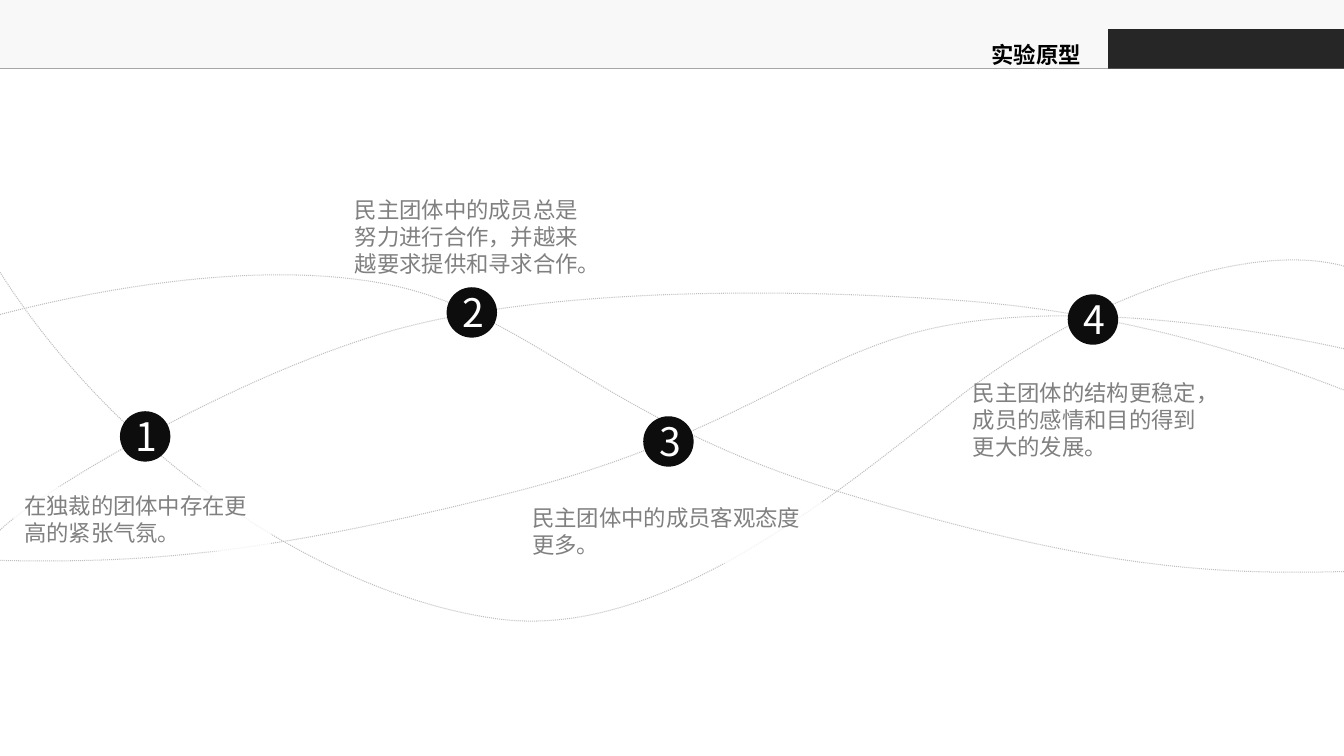
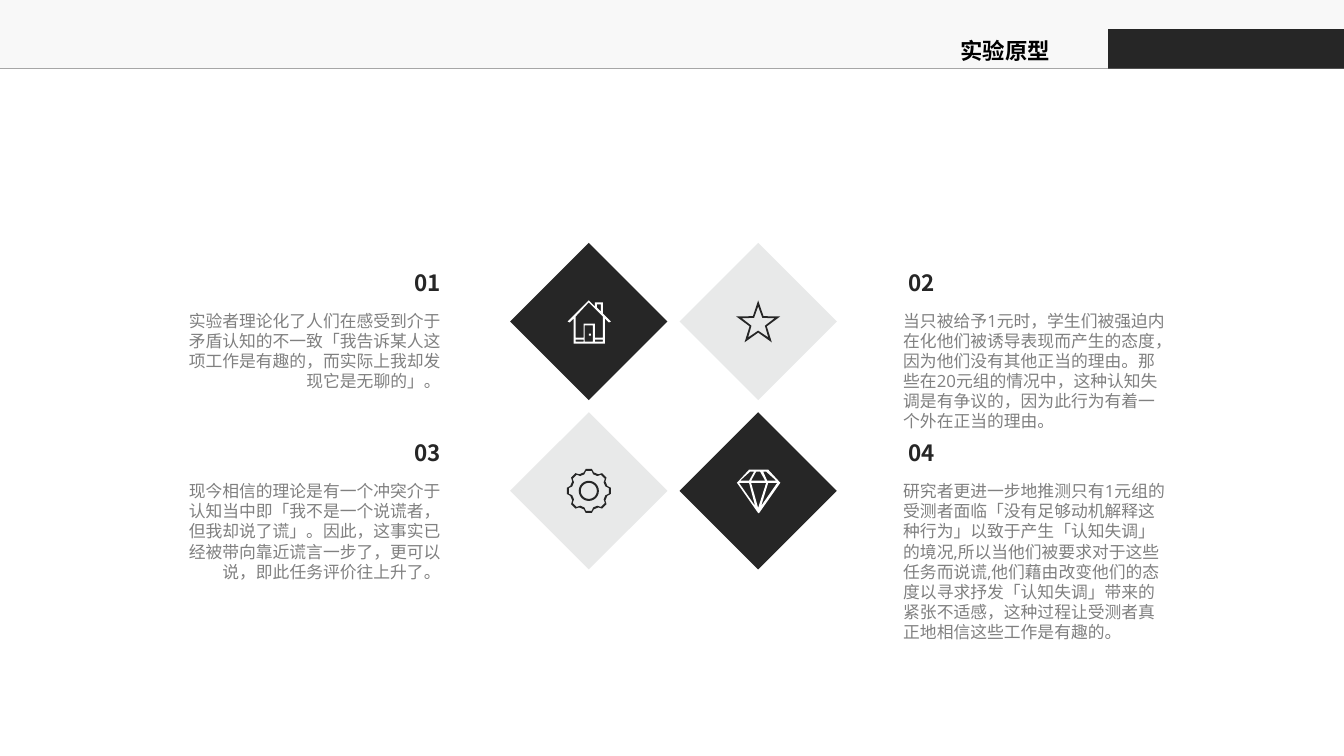
from dataclasses import dataclass
from math import cos, radians, sin
from typing import Any, NamedTuple, Sequence

from lxml import etree
from pptx import Presentation
from pptx import util as u
from pptx.dml.color import RGBColor
from pptx.enum import dml, shapes, text
from pptx.oxml import ns

Point = tuple[float, float]
Outline = Sequence[Point]
LEFT, CENTER, RIGHT = text.PP_ALIGN.LEFT, text.PP_ALIGN.CENTER, text.PP_ALIGN.RIGHT
RECTANGLE = shapes.MSO_SHAPE.RECTANGLE


@dataclass(frozen=True)
class Theme:
    white: str = "FFFFFF"
    black: str = "000000"
    ink: str = "262626"
    node: str = "0D0D0D"
    body: str = "808080"
    band: str = "F2F2F2"
    rule: str = "A6A6A6"
    curve: str = "BFBFBF"
    tile: str = "E8E9E9"
    cjk: str = "Noto Sans CJK SC"
    latin: str = "Open Sans"
    number_size: int = 28
    heading_size: int = 16
    detail_size: int = 12
    leading: float = 1.2


THEME = Theme()


class Box(NamedTuple):
    left: float
    top: float
    width: float
    height: float

    def lengths(self) -> list[u.Length]:
        return [u.Inches(value) for value in self]


class Style(NamedTuple):
    size: int
    color: str
    font: str = THEME.cjk
    bold: bool = False
    align: Any = LEFT


class Step(NamedTuple):
    """A numbered node on the curves and its caption."""
    left: float
    top: float
    caption: str
    box: Box
    font: str = THEME.latin
    veiled: bool = False


class Tile(NamedTuple):
    """A diamond with an icon, and the heading and detail beside it."""
    heading: str
    detail: str
    height: float
    column: int
    row: int
    icon: Sequence[Outline]


TITLE = Style(THEME.heading_size, THEME.black, bold=True)
NUMBER = Style(THEME.number_size, THEME.white, align=CENTER)

CURVES: list[list[Point]] = [
    [(0, 3.12), (0.73, 2.93), (2.5, 2.54), (3.89, 2.83), (5.29, 3.13),
     (5.99, 4.18), (8.36, 4.89), (10.73, 5.6), (11.9, 5.71), (13.33, 5.67)],
    [(0, 5.26), (0.42, 4.85), (2.54, 3.6), (4.12, 3.22), (5.7, 2.84),
     (7.96, 2.87), (9.5, 2.98), (11.03, 3.09), (12.33, 3.48), (13.33, 3.87)],
    [(0, 2.7), (1.27, 4.69), (3.36, 5.93), (4.94, 6.14), (6.51, 6.35),
     (8.19, 4.99), (9.46, 3.98), (10.72, 2.97), (12.37, 2.38), (13.33, 2.64)],
    [(13.33, 3.46), (12.61, 3.3), (10.83, 2.98), (9.44, 3.22), (8.05, 3.46),
     (7.35, 4.33), (4.98, 4.91), (2.61, 5.5), (1.44, 5.59), (0, 5.56)],
]

STEPS = [
    Step(1.19, 4.08, "在独裁的团体中存在更高的紧张气氛。",
         Box(0.14, 4.83, 2.55, 0.64), THEME.cjk, True),
    Step(4.43, 2.85, "民主团体中的成员总是努力进行合作，并越来越要求提供和寻求合作。",
         Box(3.42, 1.9, 2.51, 0.91)),
    Step(6.38, 4.13, "民主团体中的成员客观态度更多。",
         Box(5.18, 4.95, 2.97, 0.64), veiled=True),
    Step(10.59, 2.92, "民主团体的结构更稳定，成员的感情和目的得到更大的发展。",
         Box(9.55, 3.71, 2.59, 0.91)),
]


def ring(polar: Sequence[Point], center_y: float = 0) -> Outline:
    """Outline from (degrees clockwise from the top, radius) pairs."""
    return [(radius * sin(radians(angle)), center_y - radius * cos(radians(angle)))
            for angle, radius in polar]


def star(tip: float, notch: float) -> Outline:
    return ring([(36 * i, notch if i % 2 else tip) for i in range(10)], 0.02)


def cog(tip: float, valley: float) -> Outline:
    return ring([(45 * tooth + offset, radius) for tooth in range(8)
                 for offset, radius in ((-15, valley), (-8, tip), (8, tip), (15, valley))])


def circle(radius: float) -> Outline:
    return ring([(15 * i, radius) for i in range(24)])


def pane(left: float, top: float, right: float, bottom: float) -> Outline:
    return [(left, top), (right, top), (right, bottom), (left, bottom)]


HOUSE = [
    [(0, -0.21), (-0.21, 0), (-0.19, 0.01), (-0.15, -0.03), (-0.15, 0.22), (0.16, 0.22),
     (0.16, -0.03), (0.2, 0.01), (0.22, 0), (0.14, -0.08), (0.14, -0.19), (0.06, -0.19),
     (0.06, -0.15)],
    [(0.14, 0.16), (0.06, 0.16), (0.06, 0.02), (-0.05, 0.02), (-0.05, 0.16),
     (-0.13, 0.16), (-0.13, -0.05), (0, -0.19), (0.14, -0.05)],
    [(0.08, -0.17), (0.12, -0.17), (0.12, -0.1), (0.08, -0.14)],
    pane(-0.13, 0.18, -0.05, 0.2), pane(-0.04, 0.04, 0.04, 0.2),
    pane(0.06, 0.18, 0.14, 0.2), pane(0, 0.12, 0.02, 0.14),
]
STAR = [star(0.23, 0.09), star(0.17, 0.07)]
GEAR = [cog(0.22, 0.19), cog(0.2, 0.17), circle(0.1), circle(0.08)]
GEM = [
    [(-0.09, -0.21), (0.1, -0.21), (0.22, -0.08), (0.01, 0.22), (0, 0.22), (-0.21, -0.08)],
    [(0.03, 0.15), (0.1, -0.08), (0.19, -0.08)],
    [(0, 0.17), (-0.07, -0.08), (0.08, -0.08)],
    [(-0.19, -0.08), (-0.09, -0.08), (-0.03, 0.15)],
    [(-0.08, -0.19), (-0.04, -0.19), (-0.09, -0.1), (-0.18, -0.1)],
    [(0.02, -0.19), (0.07, -0.1), (-0.07, -0.1), (-0.02, -0.19)],
    [(0.08, -0.19), (0.18, -0.1), (0.09, -0.1), (0.05, -0.19)],
]

TILES = [
    Tile("01", "实验者理论化了人们在感受到介于矛盾认知的不一致「我告诉某人这项工作是有趣的，"
         "而实际上我却发现它是无聊的」。", 0.91, 0, 0, HOUSE),
    Tile("02", "当只被给予1元时，学生们被强迫内在化他们被诱导表现而产生的态度，因为他们没有其他"
         "正当的理由。那些在20元组的情况中，这种认知失调是有争议的，因为此行为有着一个外在"
         "正当的理由。", 1.31, 1, 0, STAR),
    Tile("03", "现今相信的理论是有一个冲突介于认知当中即「我不是一个说谎者，但我却说了谎」。"
         "因此，这事实已经被带向靠近谎言一步了，更可以说，即此任务评价往上升了。",
         1.11, 0, 1, GEAR),
    Tile("04", "研究者更进一步地推测只有1元组的受测者面临「没有足够动机解释这种行为」以致于产生"
         "「认知失调」的境况,所以当他们被要求对于这些任务而说谎,他们藉由改变他们的态度以寻求"
         "抒发「认知失调」带来的紧张不适感，这种过程让受测者真正地相信这些工作是有趣的。",
         1.72, 1, 1, GEM),
]


def assign(target: Any, values: dict[str, Any]) -> None:
    for name, value in values.items():
        setattr(target, name, value)


def paint(shape: Any, color: str, opacity: int = 100) -> None:
    shape.fill.solid()
    shape.fill.fore_color.rgb = RGBColor.from_string(color)
    if opacity < 100:
        tint = shape.fill._xPr.find(".//" + ns.qn("a:srgbClr"))
        etree.SubElement(tint, ns.qn("a:alpha")).set("val", str(opacity * 1000))


def add_solid(canvas: Any, kind: Any, box: Box, color: str, opacity: int = 100) -> Any:
    solid = canvas.add_shape(kind, *box.lengths())
    solid.shadow.inherit = False
    solid.line.fill.background()
    paint(solid, color, opacity)
    return solid


def write(shape: Any, content: str, style: Style) -> None:
    frame = shape.text_frame
    assign(frame, {"word_wrap": True, "vertical_anchor": text.MSO_ANCHOR.TOP,
                   "auto_size": text.MSO_AUTO_SIZE.SHAPE_TO_FIT_TEXT})
    para = frame.paragraphs[0]
    assign(para, {"alignment": style.align,
                  "line_spacing": u.Pt(style.size * THEME.leading)})
    para._p.get_or_add_pPr().set("hangingPunct", "1")
    span = para.add_run()
    span.text = content
    assign(span.font, {"size": u.Pt(style.size), "bold": style.bold, "name": style.font})
    span.font.color.rgb = RGBColor.from_string(style.color)
    east_asian = etree.SubElement(span.font._element, ns.qn("a:ea"))
    east_asian.set("typeface", THEME.cjk)


def add_text(page: Any, box: Box, content: str, style: Style) -> None:
    write(page.shapes.add_textbox(*box.lengths()), content, style)


def add_outlines(canvas: Any, outlines: Sequence[Outline]) -> Any:
    """One freeform; an outline inside another cuts a hole."""
    contours = [[(u.Inches(x), u.Inches(y)) for x, y in outline] for outline in outlines]
    builder = canvas.build_freeform(*contours[0][0])
    for index, contour in enumerate(contours):
        if index:
            builder.move_to(*contour[0])
        builder.add_line_segments(contour[1:], close=True)
    freeform = builder.convert_to_shape()
    freeform.shadow.inherit = False
    return freeform


def curve_heights(controls: Sequence[Point], steps: int = 100) -> list[float]:
    heights = []
    for first in range(0, len(controls) - 1, 3):
        a, b, c, d = (y for _, y in controls[first:first + 4])
        for t in (step / steps for step in range(steps + 1)):
            heights.append(a * (1 - t) ** 3 + 3 * b * t * (1 - t) ** 2
                           + 3 * c * t * t * (1 - t) + d * t ** 3)
    return heights


def add_curve(page: Any, controls: Sequence[Point]) -> None:
    """Dotted open curve of cubic Bezier pieces, framed by its true extent."""
    heights = curve_heights(controls)
    top, bottom = min(heights), max(heights)
    right = max(x for x, _ in controls)
    curve = add_outlines(page.shapes, [[(0, top), (right, top), (right, bottom), (0, bottom)]])
    curve.fill.background()
    curve.line.color.rgb = RGBColor.from_string(THEME.curve)
    assign(curve.line, {"width": u.Pt(0.75), "dash_style": dml.MSO_LINE.ROUND_DOT})
    track = curve._element.find(".//" + ns.qn("a:path"))
    for child in list(track):
        track.remove(child)
    pieces = [("a:moveTo", controls[:1])]
    pieces += [("a:cubicBezTo", controls[i:i + 3]) for i in range(1, len(controls), 3)]
    for tag, points in pieces:
        piece = etree.SubElement(track, ns.qn(tag))
        for x, y in points:
            point = etree.SubElement(piece, ns.qn("a:pt"))
            point.set("x", str(u.Inches(x)))
            point.set("y", str(u.Inches(y - top)))


def move_frame_to_layout(page: Any) -> None:
    """Draw the header band and hand it to the layout that all pages share."""
    layout = page.slide_layout
    for placeholder in list(layout.placeholders):
        layout.shapes.element.remove(placeholder.element)
    band = add_solid(page.shapes, RECTANGLE, Box(0, 0, 13.33, 0.68), THEME.band, 50)
    rule = page.shapes.add_connector(shapes.MSO_CONNECTOR.STRAIGHT,
                                     *Box(0, 0.68, 13.33, 0.68).lengths())
    rule.line.color.rgb = RGBColor.from_string(THEME.rule)
    rule.line.width = u.Pt(0.5)
    etree.SubElement(rule._element.spPr, ns.qn("a:effectLst"))
    block = add_solid(page.shapes, RECTANGLE, Box(10.99, 0.29, 2.34, 0.39), THEME.ink)
    for part in (band, rule, block):
        layout.shapes.element.append(part._element)


def build_steps(page: Any) -> None:
    for controls in CURVES:
        add_curve(page, controls)
    for number, step in enumerate(STEPS, 1):
        add_solid(page.shapes, shapes.MSO_SHAPE.OVAL,
                  Box(step.left, step.top, 0.5, 0.5), THEME.node)
        add_text(page, Box(step.left + 0.06, step.top - 0.04, 0.34, 0.57), str(number), NUMBER)
    for step in STEPS:
        style = Style(THEME.heading_size, THEME.body, step.font)
        if step.veiled:
            write(add_solid(page.shapes, RECTANGLE, step.box, THEME.white, 80),
                  step.caption, style)
        else:
            add_text(page, step.box, step.caption, style)
    add_text(page, Box(7.75, 0.36, 3.07, 0.37), "实验原型", TITLE._replace(align=RIGHT))


def build_tiles(page: Any) -> None:
    side, pitch, text_pitch = 1.56, 1.68, 1.69
    for tile in TILES:
        left, top = 5.06 + pitch * tile.column, 2.41 + pitch * tile.row
        dark = tile.column == tile.row
        group = page.shapes.add_group_shape()
        add_solid(group.shapes, shapes.MSO_SHAPE.DIAMOND, Box(left, top, side, side),
                  THEME.ink if dark else THEME.tile)
        icon = add_outlines(group.shapes, [
            [(left + side / 2 + x, top + side / 2 + y) for x, y in outline]
            for outline in tile.icon])
        icon.line.fill.background()
        paint(icon, THEME.white if dark else THEME.ink)
    for tile in TILES:
        align, shift = LEFT if tile.column else RIGHT, text_pitch * tile.row
        add_text(page, Box(8.86 if tile.column else 1.62, 3.03 + shift, 2.85, tile.height),
                 tile.detail, Style(THEME.detail_size, THEME.body, THEME.latin, align=align))
        add_text(page, Box(8.91 if tile.column else 1.75, 2.62 + shift, 2.72, 0.37),
                 tile.heading, Style(THEME.heading_size, THEME.ink, bold=True, align=align))
    add_text(page, Box(9.43, 0.32, 3.07, 0.37), "实验原型", TITLE)


def main() -> None:
    deck = Presentation()
    assign(deck, {"slide_width": u.Inches(13.33), "slide_height": u.Inches(7.5)})
    blank = deck.slide_layouts[6]
    steps_page, tiles_page = (deck.slides.add_slide(blank) for _ in range(2))
    move_frame_to_layout(steps_page)
    build_steps(steps_page)
    build_tiles(tiles_page)
    deck.save("out.pptx")


if __name__ == "__main__":
    main()
